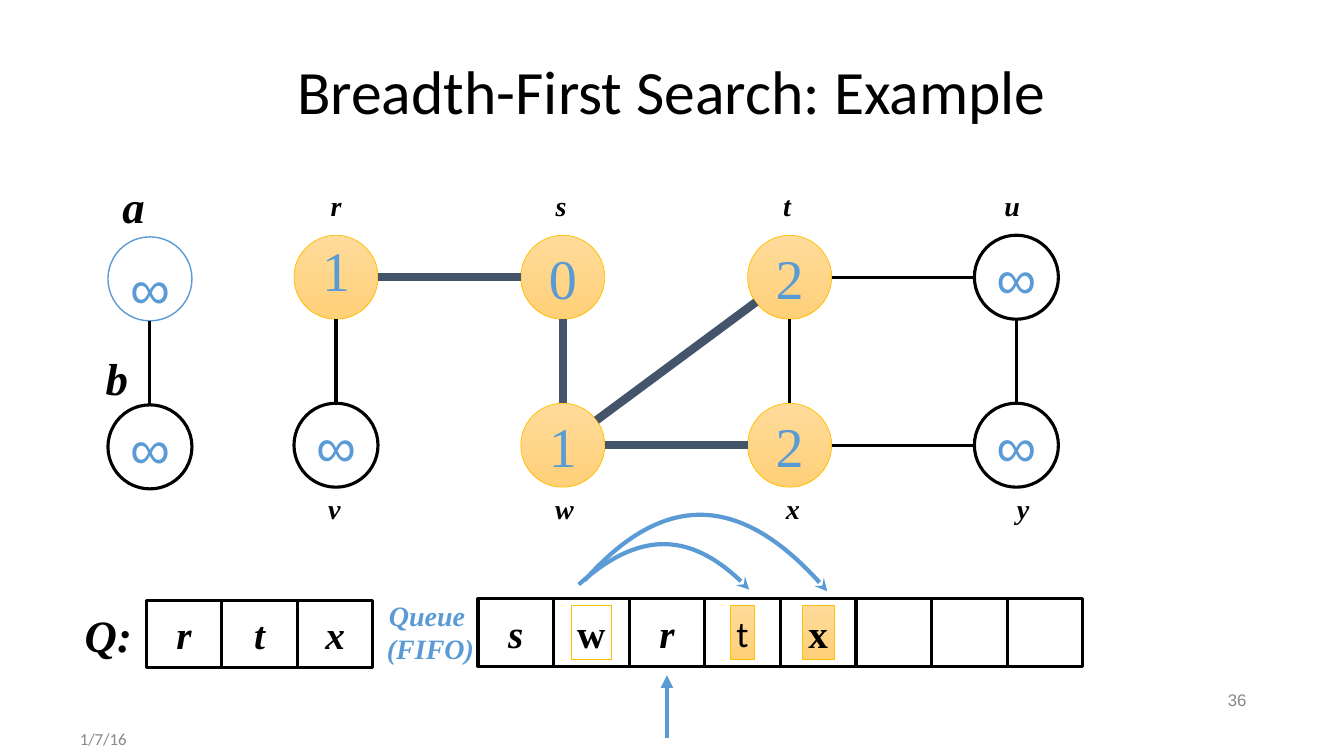
from dataclasses import dataclass
from math import hypot
from typing import Any, NamedTuple

from lxml import etree
from pptx import Presentation
from pptx.dml.color import RGBColor
from pptx.enum.shapes import MSO_CONNECTOR, MSO_SHAPE
from pptx.enum.text import MSO_ANCHOR, PP_ALIGN
from pptx.oxml.ns import qn
from pptx.util import Inches, Pt

STRAIGHT = MSO_CONNECTOR.STRAIGHT
OVAL, RECTANGLE = MSO_SHAPE.OVAL, MSO_SHAPE.RECTANGLE
LEFT, CENTER, RIGHT = PP_ALIGN.LEFT, PP_ALIGN.CENTER, PP_ALIGN.RIGHT
MIDDLE = MSO_ANCHOR.MIDDLE

# The slide is a grid of 160 columns and 90 rows, twelve to the inch.
COLUMNS, ROWS = 160, 90
UNIT = Inches(1) // 12
DIAMETER = 10
CELL_WIDTH, CELL_HEIGHT = 9, 8


class Area(NamedTuple):
    column: float
    row: float
    width: float
    height: float


class TextStyle(NamedTuple):
    size: float
    font: str
    color: str
    bold: bool = False
    italic: bool = False
    spacing: float = 1.0


class Stroke(NamedTuple):
    color: str
    width: float


@dataclass(frozen=True)
class Theme:
    gradient: tuple[str, str] = ("FFDB9B", "FFD078")
    white: str = "FFFFFF"
    title: TextStyle = TextStyle(44, "Calibri", "000000", spacing=0.9)
    distance: TextStyle = TextStyle(40, "Times New Roman", "5B9BD5")
    infinity: TextStyle = TextStyle(40, "Arial", "5B9BD5")
    name: TextStyle = TextStyle(20, "Times New Roman", "000000", True, True)
    large_name: TextStyle = TextStyle(32, "Times New Roman", "000000", True, True)
    entry: TextStyle = TextStyle(28, "Times New Roman", "000000", True, True)
    marked: TextStyle = TextStyle(28, "Times New Roman", "000000", True)
    plain: TextStyle = TextStyle(26, "Calibri", "000000")
    caption: TextStyle = TextStyle(20, "Times New Roman", "5B9BD5", True, True)
    page: TextStyle = TextStyle(12, "Arial", "888888")
    date: TextStyle = TextStyle(12, "Calibri", "888888")
    outline: Stroke = Stroke("000000", 2.25)
    tree: Stroke = Stroke("44546A", 6)
    visited: Stroke = Stroke("FFC000", 0.5)
    current: Stroke = Stroke("5B9BD5", 1)
    arrow: Stroke = Stroke("5B9BD5", 3)


THEME = Theme()


@dataclass(frozen=True)
class Node:
    column: float
    row: float
    value: str
    name_area: Area
    stroke: Stroke = THEME.outline
    fill: str | tuple[str, str] | None = None
    name_style: TextStyle = THEME.name
    value_spacing: float = 1.0
    value_drop: float = 0

    @property
    def center(self) -> tuple[float, float]:
        return self.column + DIAMETER / 2, self.row + DIAMETER / 2


class Mark(NamedTuple):
    index: int
    text: str
    width: float
    style: TextStyle
    fill: tuple[str, str] | None


class Curve(NamedTuple):
    """Start, two control points and end, with the highest row reached."""
    points: tuple[tuple[float, float], ...]
    top: float


def graph_node(column: float, row: float, value: str, name_center: float, **options: Any) -> Node:
    name_row = 22 if row < 40 else 58
    return Node(column, row, value, Area(name_center - 2, name_row, 4, 5), **options)


VISITED = {"stroke": THEME.visited, "fill": THEME.gradient}
NODES = {
    "r": graph_node(35, 28, "1", 40, value_spacing=0.7, **VISITED),
    "s": graph_node(62, 28, "0", 66.8, **VISITED),
    "t": graph_node(89, 28, "2", 93.7, **VISITED),
    "u": graph_node(116, 28, "∞", 120.5),
    "v": graph_node(35, 48, "∞", 39.8),
    "w": graph_node(62, 48, "1", 67.2, **VISITED),
    "x": graph_node(89, 48, "2", 94.4, **VISITED),
    "y": graph_node(116, 48, "∞", 121.8),
    "a": Node(12.85, 28.2, "∞", Area(13.9, 20.9, 4, 7.2), THEME.current, THEME.white,
              THEME.large_name, value_drop=0.95),
    "b": Node(12.85, 48.2, "∞", Area(11.9, 41.4, 4, 7.2), name_style=THEME.large_name),
}
TREE_EDGES = ("rs", "sw", "wt", "wx")
OTHER_EDGES = ("vr", "xt", "tu", "xy", "yu", "ba")
MARKS = (
    Mark(1, "w", 4.8, THEME.marked, None),
    Mark(3, "t", 2.9, THEME.plain, THEME.gradient),
    Mark(4, "x", 3.8, THEME.marked, THEME.gradient),
)
CURVES = (
    Curve(((68.9, 69.6), (76.1, 63.1), (82.8, 63.4), (89.2, 70.2)), 64.9),
    Curve(((69.6, 69.1), (79.1, 58.4), (88.7, 58.9), (98.5, 70.4)), 61.4),
)


def emu(*lengths: float) -> list[int]:
    return [round(length * UNIT) for length in lengths]


def set_format(target: Any, values: dict[str, Any]) -> None:
    for attribute, value in values.items():
        setattr(target, attribute, value)


def write(shape: Any, text: str, style: TextStyle, align: Any = CENTER, wrap: bool = False) -> None:
    frame = shape.text_frame
    inset = Inches(0.05)
    set_format(frame, {"text": text, "word_wrap": wrap, "vertical_anchor": MIDDLE,
                       "margin_left": inset, "margin_right": inset,
                       "margin_top": inset, "margin_bottom": inset})
    for paragraph in frame.paragraphs:
        set_format(paragraph, {"alignment": align, "line_spacing": style.spacing})
        for run in paragraph.runs:
            set_format(run.font, {"size": Pt(style.size), "name": style.font,
                                  "bold": style.bold, "italic": style.italic})
            run.font.color.rgb = RGBColor.from_string(style.color)


def add_text(slide: Any, area: Area, text: str, style: TextStyle,
             align: Any = CENTER, wrap: bool = False) -> None:
    write(slide.shapes.add_textbox(*emu(*area)), text, style, align, wrap)


def set_stroke(shape: Any, stroke: Stroke, arrowhead: str | None = None) -> None:
    shape.line.color.rgb = RGBColor.from_string(stroke.color)
    shape.line.width = Pt(stroke.width)
    if arrowhead:
        line = shape._element.spPr.find(qn("a:ln"))
        etree.SubElement(line, qn("a:tailEnd"), type=arrowhead)


def add_figure(slide: Any, kind: Any, area: Area, stroke: Stroke,
               fill: str | tuple[str, str] | None = None) -> Any:
    shape = slide.shapes.add_shape(kind, *emu(*area))
    shape.shadow.inherit = False
    if fill is None:
        shape.fill.background()
    elif isinstance(fill, str):
        shape.fill.solid()
        shape.fill.fore_color.rgb = RGBColor.from_string(fill)
    else:
        shape.fill.gradient()
        shape.fill.gradient_angle = 270
        for stop, color in zip(shape.fill.gradient_stops, fill):
            stop.color.rgb = RGBColor.from_string(color)
    set_stroke(shape, stroke)
    return shape


def add_line(slide: Any, start: tuple[float, float], end: tuple[float, float],
             stroke: Stroke, arrowhead: str | None = None) -> None:
    connector = slide.shapes.add_connector(STRAIGHT, *emu(*start, *end))
    set_stroke(connector, stroke, arrowhead)
    etree.SubElement(connector._element.spPr, qn("a:effectLst"))


def add_edge(slide: Any, first: Node, second: Node, stroke: Stroke) -> None:
    """Join the rims of two nodes along the line between their centers."""
    (x1, y1), (x2, y2) = first.center, second.center
    share = DIAMETER / 2 / hypot(x2 - x1, y2 - y1)
    dx, dy = (x2 - x1) * share, (y2 - y1) * share
    add_line(slide, (x1 + dx, y1 + dy), (x2 - dx, y2 - dy), stroke)


def add_node(slide: Any, name: str, node: Node) -> None:
    area = Area(node.column, node.row, DIAMETER, DIAMETER)
    add_figure(slide, OVAL, area, node.stroke, node.fill)
    style = THEME.infinity if node.value == "∞" else THEME.distance
    add_text(slide, area._replace(row=node.row + node.value_drop), node.value,
             style._replace(spacing=node.value_spacing))
    add_text(slide, node.name_area, name, node.name_style)


def add_cells(slide: Any, column: float, row: float, entries: tuple[str, ...]) -> None:
    for index, entry in enumerate(entries):
        area = Area(column + index * CELL_WIDTH, row, CELL_WIDTH, CELL_HEIGHT)
        cell = add_figure(slide, RECTANGLE, area, THEME.outline)
        if entry:
            write(cell, entry, THEME.entry)


def add_curve(slide: Any, curve: Curve) -> None:
    start, *_, end = [emu(*point) for point in curve.points]
    apex = emu((curve.points[0][0] + curve.points[-1][0]) / 2, curve.top)
    builder = slide.shapes.build_freeform(*start)
    builder.add_line_segments([apex, end], close=False)
    shape = builder.convert_to_shape()
    shape.shadow.inherit = False
    shape.fill.background()
    set_stroke(shape, THEME.arrow, "stealth")
    outline = next(shape._element.iter(qn("a:path")))
    for segment in outline.findall(qn("a:lnTo")):
        outline.remove(segment)
    bezier = etree.SubElement(outline, qn("a:cubicBezTo"))
    for point in curve.points[1:]:
        x, y = emu(*point)
        etree.SubElement(bezier, qn("a:pt"), x=str(x - shape.left), y=str(y - shape.top))


def main() -> None:
    presentation = Presentation()
    presentation.slide_width, presentation.slide_height = emu(COLUMNS, ROWS)
    slide = presentation.slides.add_slide(presentation.slide_layouts[6])
    add_text(slide, Area(11, 4.8, 138, 12.8), "Breadth-First Search: Example", THEME.title, wrap=True)
    for name, node in NODES.items():
        add_node(slide, name, node)
    for edges, stroke in ((TREE_EDGES, THEME.tree), (OTHER_EDGES, THEME.outline)):
        for first, second in edges:
            add_edge(slide, NODES[first], NODES[second], stroke)

    add_text(slide, Area(9.4, 72, 7, 7.2), "Q:", THEME.large_name)
    add_cells(slide, 17.4, 71.5, ("r", "t", "x"))
    add_text(slide, Area(45.2, 70.8, 12.1, 8.8), "Queue \n(FIFO)", THEME.caption, wrap=True)
    history_column, history_row, mark_height = 56.9, 71.3, 6.4
    add_cells(slide, history_column, history_row, ("s", "", "r", "", "", "", "", ""))
    for mark in MARKS:
        area = Area(history_column + (mark.index + 0.5) * CELL_WIDTH - mark.width / 2,
                    history_row + (CELL_HEIGHT - mark_height) / 2, mark.width, mark_height)
        write(add_figure(slide, RECTANGLE, area, THEME.visited, mark.fill), mark.text, mark.style)
    for curve in CURVES:
        add_curve(slide, curve)
    add_line(slide, (79.4, 87.8), (79.4, 80.4), THEME.arrow, "triangle")
    add_text(slide, Area(113, 81.6, 36, 3.5), "36", THEME.page, RIGHT, wrap=True)
    add_text(slide, Area(8.9, 86.2, 36, 3.5), "1/7/16", THEME.date, LEFT, wrap=True)
    presentation.save("out.pptx")


if __name__ == "__main__":
    main()
